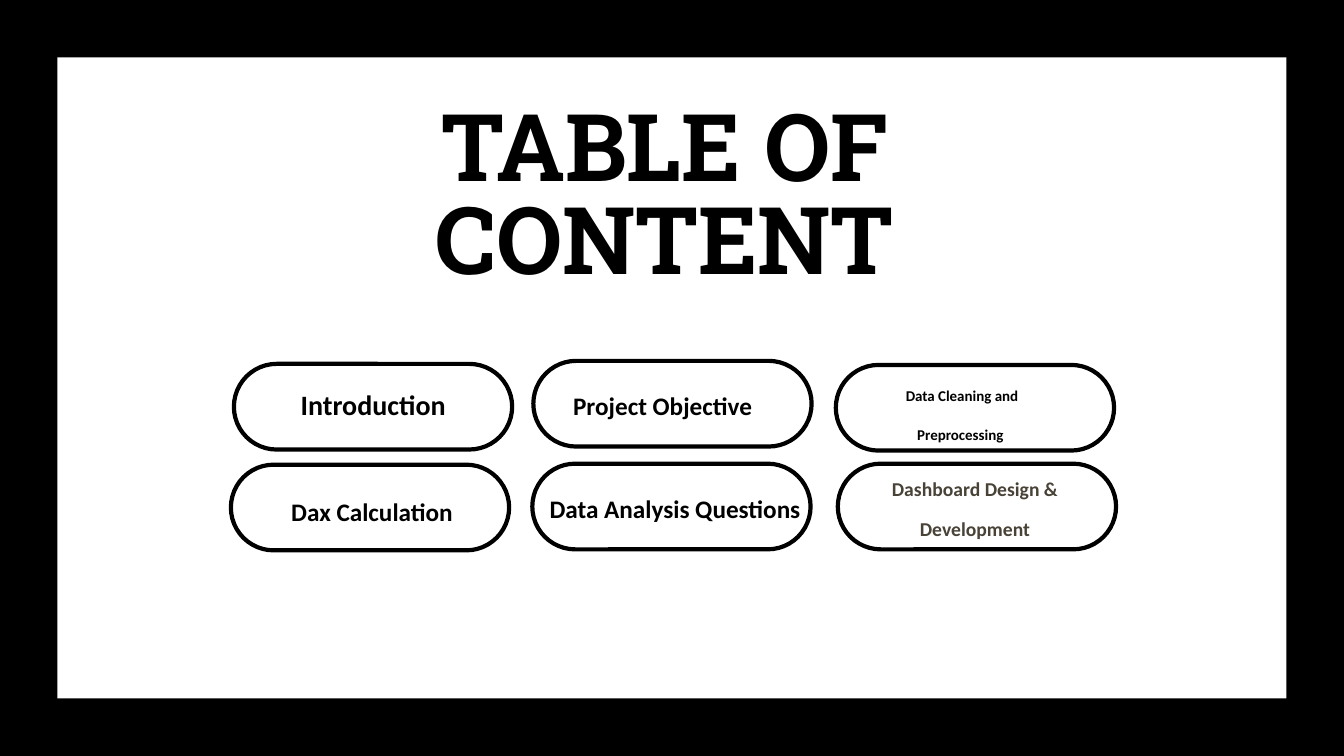
from pptx import Presentation
from pptx.dml.color import RGBColor
from pptx.enum.shapes import MSO_SHAPE
from pptx.enum.text import PP_ALIGN
from pptx.util import Inches, Pt

WIDTH, HEIGHT, BORDER = 13.33, 7.5, 0.57
PILL_W, PILL_H = 2.76, 0.85
BLACK, BROWN = "000000", "484237"


def rgb(value):
    return RGBColor.from_string(value)


class ContentsSlide:
    font = "Calibri"
    title_font = "Roboto Slab"
    outline = 3

    def __init__(self, prs):
        self.s = prs.slides.add_slide(prs.slide_layouts[6])

    def shape(self, kind, box):
        sp = self.s.shapes.add_shape(kind, *map(Inches, box))
        sp.shadow.inherit = False
        return sp

    def bar(self, *box):
        sp = self.shape(MSO_SHAPE.RECTANGLE, box)
        sp.fill.solid()
        sp.fill.fore_color.rgb = rgb(BLACK)
        sp.line.fill.background()

    def pill(self, left, top):
        sp = self.shape(MSO_SHAPE.ROUNDED_RECTANGLE, (left, top, PILL_W, PILL_H))
        sp.adjustments[0] = 0.5
        sp.fill.background()
        sp.line.color.rgb = rgb(BLACK)
        sp.line.width = Pt(self.outline)

    def text(self, words, box, size, color=BLACK, spacing=28, inset=True, font=None):
        """Centred bold text; spacing is the line pitch in points, or None for single."""
        tf = self.s.shapes.add_textbox(*map(Inches, box)).text_frame
        tf.word_wrap = True
        if not inset:
            tf.margin_left = tf.margin_right = tf.margin_top = tf.margin_bottom = 0
        p = tf.paragraphs[0]
        p.text = words
        p.alignment = PP_ALIGN.CENTER
        if spacing:
            p.line_spacing = Pt(spacing)
        p.font.name = font or self.font
        p.font.size = Pt(size)
        p.font.bold = True
        p.font.color.rgb = rgb(color)


def main():
    prs = Presentation()
    prs.slide_width, prs.slide_height = Inches(WIDTH), Inches(HEIGHT)
    slide = ContentsSlide(prs)

    for left in (0, WIDTH - BORDER):
        slide.bar(left, 0, BORDER, HEIGHT)
    for top in (0, HEIGHT - BORDER):
        slide.bar(0, top, WIDTH, BORDER)

    slide.text("TABLE OF CONTENT", (2.06, 1.06, 9.07, 1.88), 66.7,
               spacing=66.7, inset=False, font=slide.title_font)

    for left, top in ((2.32, 3.61), (5.29, 3.58), (8.29, 3.62),
                      (2.29, 4.61), (5.28, 4.6), (8.31, 4.6)):
        slide.pill(left, top)

    slide.text(" Introduction", (2.62, 3.79, 2.1, 0.37), 20, inset=False)
    slide.text("Project Objective ", (5.34, 3.82, 2.52, 0.4), 18, spacing=None)
    slide.text(" Data Cleaning and Preprocessing", (8.67, 3.62, 1.71, 1.12), 10.7,
               inset=False)
    slide.text("Dax Calculation", (2.15, 4.79, 3.08, 0.46), 18)
    slide.text("Data Analysis Questions", (5.25, 4.76, 2.89, 0.46), 18)
    slide.text("Dashboard Design & Development", (8.57, 4.53, 2.2, 0.84), 14, BROWN)

    prs.save("out.pptx")


if __name__ == "__main__":
    main()
